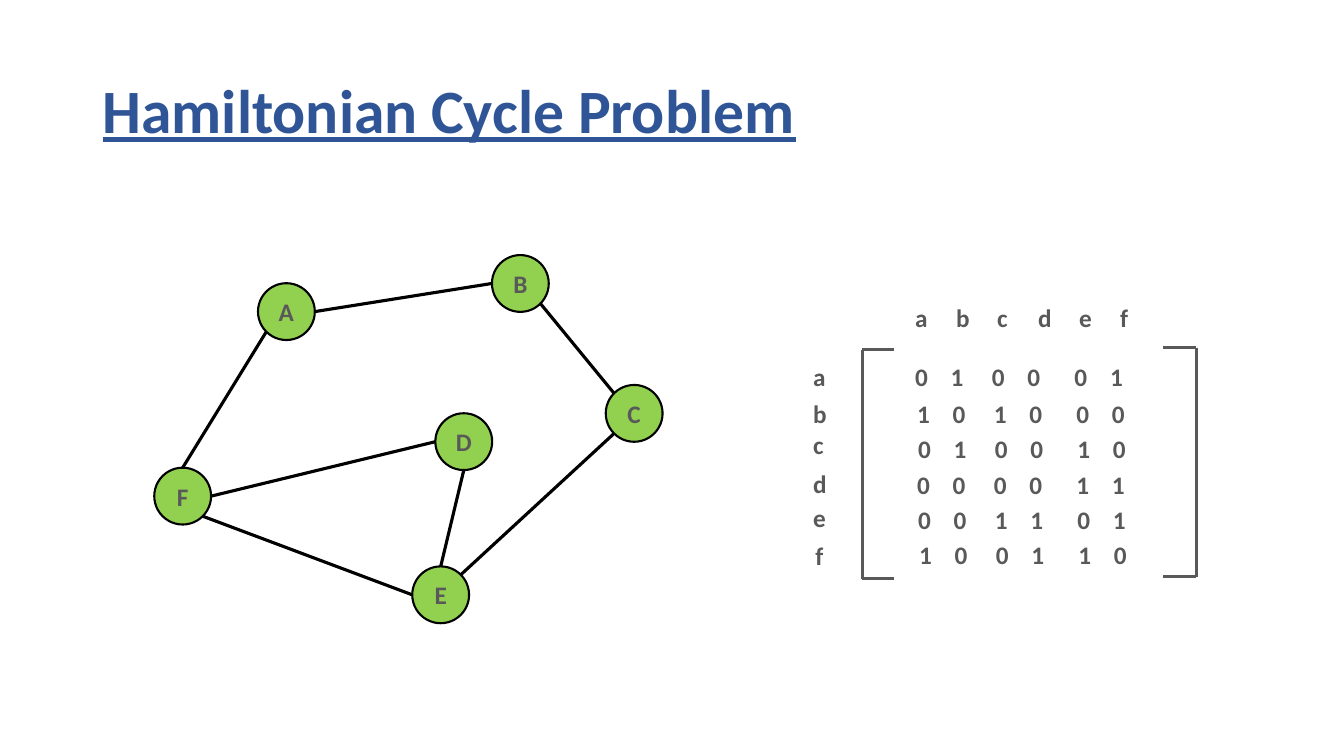
import math
from dataclasses import dataclass

import lxml.etree
import pptx
import pptx.dml.color
import pptx.enum.shapes
import pptx.enum.text
import pptx.oxml.ns
import pptx.util

Pt = pptx.util.Pt
qn = pptx.oxml.ns.qn
Align = pptx.enum.text.PP_ALIGN
Anchor = pptx.enum.text.MSO_ANCHOR

GRAY = "595959"
BLACK = "000000"
SIZE = 40.6
TOP, TOP_LEFT, LEFT, LOW_LEFT, LOW, LOW_RIGHT, RIGHT, TOP_RIGHT = range(8)


@dataclass
class Node:
    name: str
    left: float
    top: float

    def point(self, site: int) -> tuple[float, float]:
        angle = math.radians(90 + 45 * site)
        half = SIZE / 2
        return (self.left + half + half * math.cos(angle),
                self.top + half - half * math.sin(angle))


@dataclass
class Edge:
    start: str
    out: int
    end: str
    into: int


@dataclass
class Row:
    name: str
    left: float
    top: float
    shift: float
    drop: float
    cells: str


@dataclass
class Bracket:
    spine: float
    tip: float
    top: float
    low: float


NODES = [
    Node("A", 184.3, 202.3), Node("B", 351.4, 182.2), Node("F", 110.2, 334.1),
    Node("D", 311, 295.2), Node("E", 294.5, 404.6), Node("C", 432.7, 275),
]
EDGES = [
    Edge("A", RIGHT, "B", LEFT), Edge("A", LOW_LEFT, "F", TOP),
    Edge("E", LEFT, "F", LOW_RIGHT), Edge("D", LEFT, "F", RIGHT),
    Edge("E", TOP_RIGHT, "C", LOW_LEFT), Edge("E", TOP, "D", LOW),
    Edge("C", TOP_LEFT, "B", LOW_RIGHT),
]
ROWS = [
    Row("a", 573.8, 254.9, 646.6, 254.9, "010001"),
    Row("b", 573.8, 280.8, 648, 280.8, "101000"),
    Row("c", 573.8, 303.1, 648.7, 306, "010010"),
    Row("d", 573.8, 331.2, 648, 331.9, "000011"),
    Row("e", 573.8, 355, 648.7, 356.4, "001101"),
    Row("f", 575.3, 382.3, 649.4, 381.6, "100110"),
]
BRACKETS = [Bracket(616, 638.6, 249.8, 413.3), Bracket(854.6, 830.9, 248.4, 411.8)]
HEAD_TABS = [29.3 * step for step in range(1, 6)]
CELL_TABS = [25.4, 54.9, 80.2, 113.8, 139.2]


def color(value: str) -> pptx.dml.color.RGBColor:
    return pptx.dml.color.RGBColor.from_string(value)


def style(para, size: float, tint: str) -> None:
    font = para.font
    font.name, font.size, font.bold = "Calibri", Pt(size), True
    font.color.rgb = color(tint)


def line(slide, start: tuple[float, float], end: tuple[float, float], tint: str):
    link = slide.shapes.add_connector(
        pptx.enum.shapes.MSO_CONNECTOR.STRAIGHT, *map(Pt, (*start, *end)))
    link.line.color.rgb = color(tint)
    link.line.width = Pt(2.25)
    lxml.etree.SubElement(link.element.spPr, qn("a:effectLst"))
    return link


def label(slide, left: float, top: float, width: float, text: str, tabs=()) -> None:
    box = slide.shapes.add_textbox(Pt(left), Pt(top), Pt(width), Pt(28.8))
    box.text_frame.word_wrap = True
    para = box.text_frame.paragraphs[0]
    para.text = "\t".join(text)
    style(para, 18, GRAY)
    if tabs:
        stops = lxml.etree.Element(qn("a:tabLst"))
        for stop in tabs:
            lxml.etree.SubElement(stops, qn("a:tab"), pos=str(int(Pt(stop))), algn="l")
        para.font
        para._p.get_or_add_pPr().insert(0, stops)


def circle(slide, node: Node):
    shape = slide.shapes.add_shape(
        pptx.enum.shapes.MSO_SHAPE.OVAL, Pt(node.left), Pt(node.top), Pt(SIZE), Pt(SIZE))
    shape.shadow.inherit = False
    shape.fill.solid()
    shape.fill.fore_color.rgb = color("92D050")
    shape.line.color.rgb = color(BLACK)
    shape.line.width = Pt(1.5)
    frame = shape.text_frame
    frame.vertical_anchor = Anchor.MIDDLE
    para = frame.paragraphs[0]
    para.text, para.alignment = node.name, Align.CENTER
    style(para, 18, GRAY)
    return shape


def graph(slide) -> None:
    shapes = {node.name: circle(slide, node) for node in NODES}
    nodes = {node.name: node for node in NODES}
    for edge in EDGES:
        link = line(slide, nodes[edge.start].point(edge.out),
                    nodes[edge.end].point(edge.into), BLACK)
        glue = link.element.nvCxnSpPr.cNvCxnSpPr
        for tag, name, site in (("a:stCxn", edge.start, edge.out),
                                ("a:endCxn", edge.end, edge.into)):
            lxml.etree.SubElement(
                glue, qn(tag), id=str(shapes[name].shape_id), idx=str(site))


def matrix(slide) -> None:
    for side in BRACKETS:
        line(slide, (side.spine, side.top), (side.spine, side.low), GRAY)
        for level in (side.top, side.low):
            line(slide, (side.spine, level), (side.tip, level), GRAY)
    label(slide, 646.6, 212.4, 180, "abcdef", HEAD_TABS)
    for row in ROWS:
        label(slide, row.left, row.top, 28, row.name)
        label(slide, row.shift, row.drop, 175, row.cells, CELL_TABS)


def title(slide) -> None:
    shape = slide.shapes.title
    shape.left, shape.top, shape.width, shape.height = map(Pt, (66.2, 28.8, 828, 104.4))
    frame = shape.text_frame
    frame.auto_size = pptx.enum.text.MSO_AUTO_SIZE.NONE
    frame.vertical_anchor = Anchor.MIDDLE
    para = frame.paragraphs[0]
    para.text, para.alignment = "Hamiltonian Cycle Problem", Align.LEFT
    para.line_spacing = 0.9
    style(para, 44, "2F5597")
    para.font.underline = True


deck = pptx.Presentation()
deck.slide_width, deck.slide_height = Pt(960), Pt(540)
slide = deck.slides.add_slide(deck.slide_layouts[5])
title(slide)
graph(slide)
matrix(slide)
deck.save("out.pptx")
